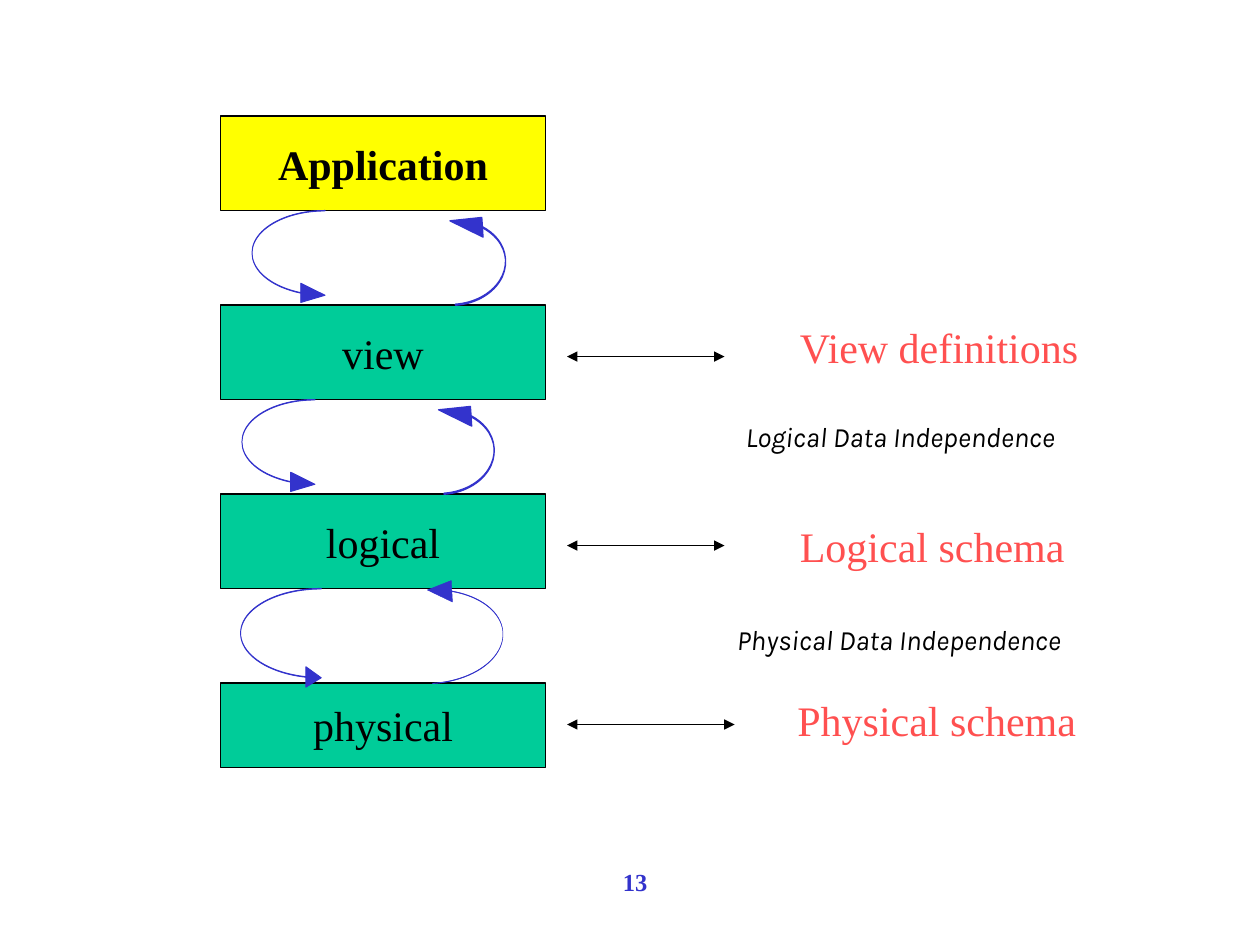
from lxml import etree
from pptx import Presentation
from pptx import util as u
from pptx.dml.color import RGBColor
from pptx.enum import shapes, text
from pptx.oxml.ns import qn

HUE = {"ink": "000000", "blue": "3333CC", "green": "00CC99",
       "yellow": "FFFF00", "red": "FF5050"}
SERIF, SANS = "Times New Roman", "Karla"

LEFT, WIDE = 1.75, 2.58
LAYERS = [
    ("Application", 0.92, 0.75, "yellow", True),
    ("view", 2.42, 0.75, "green", False),
    ("logical", 3.92, 0.75, "green", False),
    ("physical", 5.42, 0.67, "green", False),
]
LINKS = [(2.83, 5.75), (4.33, 5.75), (5.75, 5.83)]
DOWN, UP = (0.008, 0.264, 0.333), (0.021, 0.372, 0.604)
LOOPS = [
    ((1.92, 3.17, 0.58, 0.75), 0, DOWN, 0.5),
    ((3.5, 3.16, 0.42, 0.75), 176.3, UP, 0.75),
    ((1.91, 4.67, 0.64, 0.79), 0, (0.007, 0.253, 0.19), 0.5),
    ((3.41, 4.58, 0.58, 0.83), 176.8, (0.008, 0.294, 0.333), 0.25),
    ((2, 1.67, 0.58, 0.75), 0, DOWN, 0.5),
    ((3.59, 1.66, 0.42, 0.75), 176.3, UP, 0.75),
]
SCHEMAS = [
    ("View definitions", (6.25, 2.5, 2.43, 0.5)),
    ("Logical schema", (6.25, 4.08, 2.3, 0.5)),
    ("Physical schema", (6.23, 5.46, 2.41, 0.5)),
]
NOTES = [
    ("Physical Data Independence", (5.75, 4.89, 3.16, 0.37)),
    ("Logical Data Independence", (5.82, 3.28, 3.16, 0.37)),
]
NUMBER = ("13", (0.5, 6.83, 9.08, 0.5))

deck = Presentation()
deck.slide_width, deck.slide_height = u.Inches(10), u.Inches(7.5)
slide = deck.slides.add_slide(deck.slide_layouts[6])


def rgb(name):
    return RGBColor.from_string(HUE[name])


def inch(box):
    return [u.Inches(n) for n in box]


def write(shape, words, size, hue, face=SERIF, bold=False, slant=False,
          mid=False, wrap=False):
    frame = shape.text_frame
    frame.word_wrap = wrap
    para = frame.paragraphs[0]
    para.alignment = text.PP_ALIGN.CENTER if mid else text.PP_ALIGN.LEFT
    run = para.add_run()
    run.text = words
    font = run.font
    font.size, font.name = u.Pt(size), face
    font.bold, font.italic = bold, slant
    font.color.rgb = rgb(hue)


def label(words, box, size, hue, **style):
    write(slide.shapes.add_textbox(*inch(box)), words, size, hue, **style)


def block(kind, box, fill, edge, width):
    shape = slide.shapes.add_shape(kind, *inch(box))
    shape.shadow.inherit = False
    shape.fill.solid()
    shape.fill.fore_color.rgb = rgb(fill)
    shape.line.color.rgb = rgb(edge)
    shape.line.width = u.Pt(width)
    return shape


def link(top, end):
    wire = slide.shapes.add_connector(
        shapes.MSO_CONNECTOR.STRAIGHT, *inch((4.5, top, end, top)))
    wire.line.color.rgb = rgb("ink")
    wire.line.width = u.Pt(0.75)
    line = wire.line._get_or_add_ln()
    for tag in ("a:headEnd", "a:tailEnd"):
        etree.SubElement(line, qn(tag), type="triangle")
    etree.SubElement(wire._element.spPr, qn("a:effectLst"))


def loop(box, turn, bends, width):
    arrow = block(shapes.MSO_SHAPE.CURVED_RIGHT_ARROW, box, "blue", "blue", width)
    arrow.rotation = turn
    for i, bend in enumerate(bends):
        arrow.adjustments[i] = bend


for top, end in LINKS:
    link(top, end)
for name, top, tall, fill, bold in LAYERS:
    layer = block(shapes.MSO_SHAPE.RECTANGLE, (LEFT, top, WIDE, tall),
                  fill, "ink", 0.75)
    layer.text_frame.vertical_anchor = text.MSO_ANCHOR.MIDDLE
    write(layer, name, 24, "ink", bold=bold, mid=True)
for item in LOOPS:
    loop(*item)
for words, box in SCHEMAS:
    label(words, box, 24, "red")
for words, box in NOTES:
    label(words, box, 16, "ink", face=SANS, slant=True, wrap=True)
label(*NUMBER, 14, "blue", bold=True, mid=True, wrap=True)

deck.save("out.pptx")
